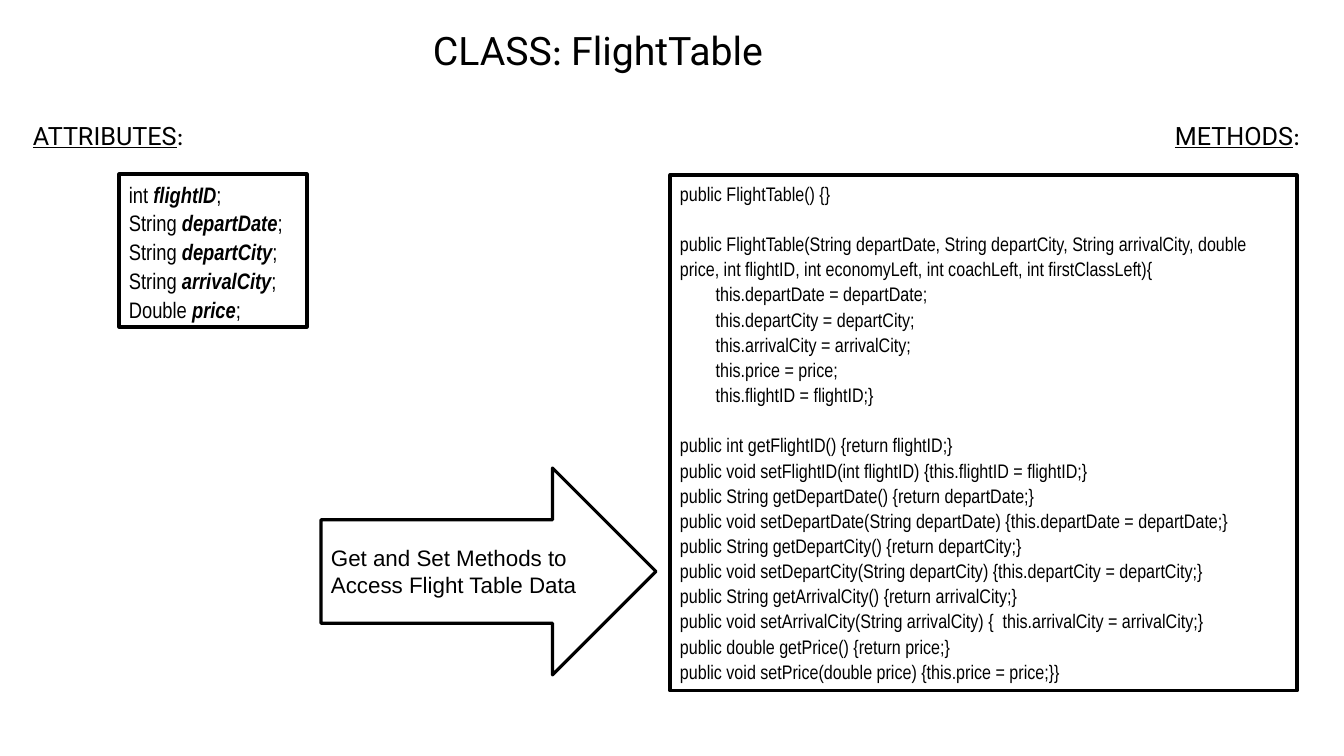
"""Build the FlightTable class slide with its attributes and methods."""
from pptx import Presentation
from pptx import util as u
from pptx.dml.color import RGBColor
from pptx.enum import shapes, text

EMU_PER_PX = 914400 / 100.8
BLACK, WHITE = "000000", "FFFFFF"
CODE_FONT = "Arial Narrow"

ATTRIBUTES = [
    ("int", "flightID"),
    ("String", "departDate"),
    ("String", "departCity"),
    ("String", "arrivalCity"),
    ("Double", "price"),
]
METHOD_GROUPS = [
    ["public FlightTable() {}"],
    [
        "public FlightTable(String departDate, String departCity, String arrivalCity, double price, "
        "int flightID, int economyLeft, int coachLeft, int firstClassLeft){",
        "        this.departDate = departDate;",
        "        this.departCity = departCity;",
        "        this.arrivalCity = arrivalCity;",
        "        this.price = price;",
        "        this.flightID = flightID;}",
    ],
    [
        "public int getFlightID() {return flightID;}",
        "public void setFlightID(int flightID) {this.flightID = flightID;}",
        "public String getDepartDate() {return departDate;}",
        "public void setDepartDate(String departDate) {this.departDate = departDate;}",
        "public String getDepartCity() {return departCity;}",
        "public void setDepartCity(String departCity) {this.departCity = departCity;}",
        "public String getArrivalCity() {return arrivalCity;}",
        "public void setArrivalCity(String arrivalCity) {  this.arrivalCity = arrivalCity;}",
        "public double getPrice() {return price;}",
        "public void setPrice(double price) {this.price = price;}}",
    ],
]
HEADINGS = [
    ((423, 21, 373, 57), 28, False, ["CLASS", ": ", "FlightTable"]),
    ((23, 115, 233, 40), 18, True, ["ATTRIBUTES", ":"]),
    ((1165, 115, 179, 40), 18, True, ["METHODS", ":"]),
]
ARROW_TEXT = "Get and Set Methods to Access Flight Table Data"


def px(value):
    return u.Emu(round(value * EMU_PER_PX))


def color(value):
    return RGBColor.from_string(value)


def add_box(parent, area, kind=shapes.MSO_SHAPE.RECTANGLE, outlined=True):
    shape = parent.shapes.add_shape(kind, *map(px, area))
    shape.shadow.inherit = False
    shape.fill.solid()
    shape.fill.fore_color.rgb = color(WHITE)
    if outlined:
        shape.line.color.rgb = color(BLACK)
        shape.line.width = u.Pt(2.25)
    else:
        shape.line.fill.background()
    frame = shape.text_frame
    frame.word_wrap = True
    frame.vertical_anchor = text.MSO_ANCHOR.TOP
    return frame


def add_para(frame, index, pieces, size, font, line_spacing=None):
    para = frame.add_paragraph() if index else frame.paragraphs[0]
    para.alignment = text.PP_ALIGN.LEFT
    para.line_spacing = line_spacing
    para.font.size = u.Pt(size)
    para.font.name = font
    para.font.color.rgb = color(BLACK)
    for piece in pieces:
        para.add_run().text = piece
    return para


def add_methods(page):
    frame = add_box(page, (670, 175, 627, 516))
    index = 0
    for group in METHOD_GROUPS:
        for position, line in enumerate(group):
            para = add_para(frame, index, [line], 14, CODE_FONT, 1.07)
            if index and position == 0:
                para.space_before = u.Pt(18)
            index += 1


def add_attributes(page):
    frame = add_box(page, (119, 174, 188, 153))
    for index, (kind, name) in enumerate(ATTRIBUTES):
        para = add_para(frame, index, [f"{kind} ", name, ";"], 16, CODE_FONT, 1.07)
        para.runs[1].font.bold = True
        para.runs[1].font.italic = True


def add_headings(page):
    for area, size, underlined, pieces in HEADINGS:
        frame = add_box(page, area, outlined=False)
        para = add_para(frame, 0, pieces, size, "Roboto")
        para.runs[0].font.underline = underlined
        para.runs[1].font.name = "Calibri"


def add_arrow(page):
    group = page.shapes.add_group_shape()
    add_box(group, (321, 468, 335, 207), shapes.MSO_SHAPE.RIGHT_ARROW)
    frame = group.shapes.add_textbox(*map(px, (321, 539, 296, 65))).text_frame
    frame.word_wrap = True
    add_para(frame, 0, [ARROW_TEXT], 16, "Arial")


def main():
    deck = Presentation()
    deck.slide_width, deck.slide_height = px(1344), px(756)
    page = deck.slides.add_slide(deck.slide_layouts[6])
    add_methods(page)
    add_attributes(page)
    add_headings(page)
    add_arrow(page)
    deck.save("out.pptx")


if __name__ == "__main__":
    main()
